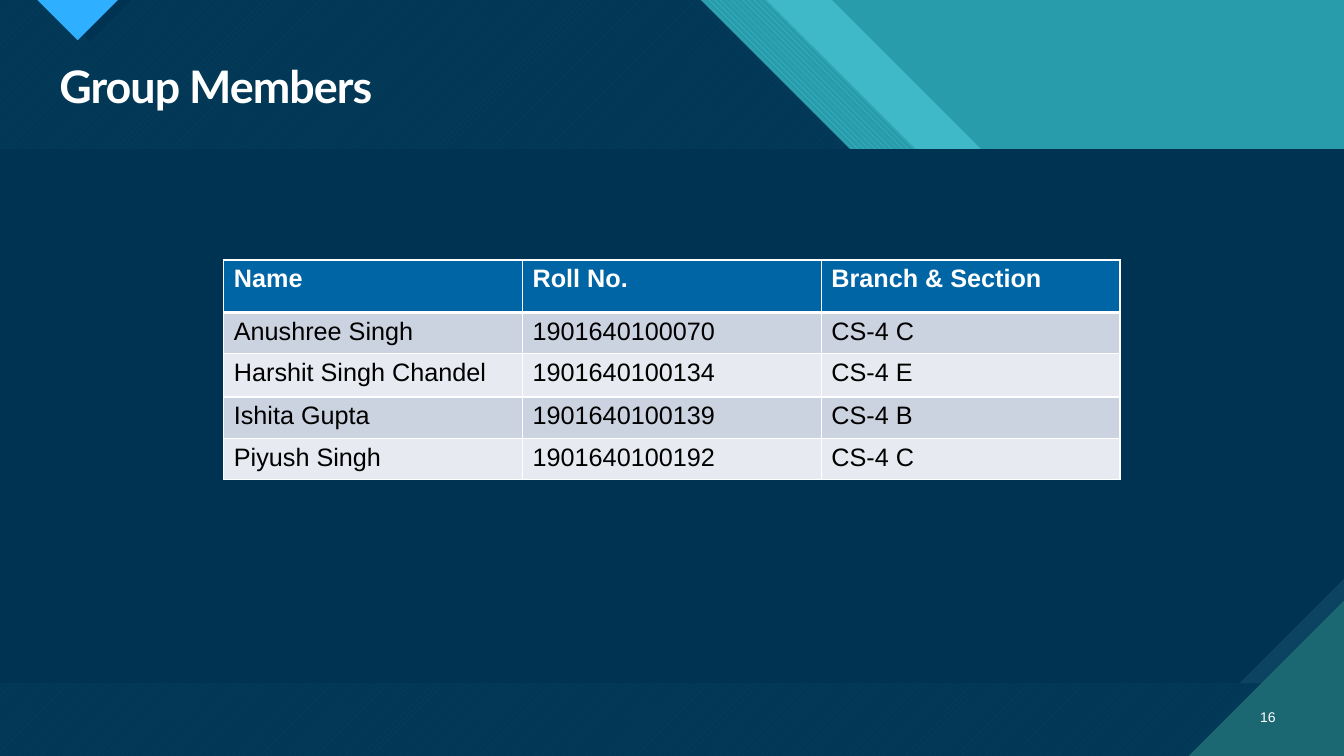
from dataclasses import dataclass

from pptx import Presentation
from pptx.dml.color import RGBColor
from pptx.enum.dml import MSO_PATTERN
from pptx.enum.text import MSO_ANCHOR, PP_ALIGN
from pptx.oxml.ns import qn
from pptx.util import Inches, Pt
from lxml.etree import SubElement


@dataclass(frozen=True)
class Theme:
    """Colours, fonts and type sizes of the slide."""
    teal: str = "299CAB"
    aqua: str = "47C3D3"
    deep_teal: str = "1B6872"
    navy: str = "003352"
    slate: str = "0C4360"
    accent: str = "2FAFFF"
    header: str = "0065A4"
    bands: tuple = ("CCD3E0", "E7EAF0")
    white: str = "FFFFFF"
    black: str = "000000"
    title_font: str = "Lato"
    body_font: str = "Arial"
    title_size: int = 32
    table_size: int = 18
    number_size: int = 10


THEME = Theme()
WIDTH, HEIGHT = 13.33, 7.5
PANEL_TOP, PANEL_BOTTOM = 1.48, 6.78
MEMBERS = [
    ("Name", "Roll No.", "Branch & Section"),
    ("Anushree Singh", "1901640100070", "CS-4 C"),
    ("Harshit Singh Chandel", "1901640100134", "CS-4 E"),
    ("Ishita Gupta", "1901640100139", "CS-4 B"),
    ("Piyush Singh", "1901640100192", "CS-4 C"),
]
ROW_HEIGHTS = (0.52, 0.41, 0.43, 0.41, 0.41)


def rgb(color):
    """Turn a hex string into a colour."""
    return RGBColor.from_string(color)


def add_polygon(slide, points, color, opacity=100, pattern=None, back=None):
    """Draw a closed outline with a solid or patterned fill."""
    corners = [(Inches(x), Inches(y)) for x, y in points]
    builder = slide.shapes.build_freeform(*corners[0], scale=1.0)
    builder.add_line_segments(corners[1:], close=True)
    polygon = builder.convert_to_shape()
    polygon.shadow.inherit = False
    polygon.line.fill.background()
    if pattern is None:
        polygon.fill.solid()
    else:
        polygon.fill.patterned()
        polygon.fill.pattern = pattern
        polygon.fill.back_color.rgb = rgb(back)
    polygon.fill.fore_color.rgb = rgb(color)
    if opacity < 100:
        tint = polygon._element.spPr.find(qn("a:solidFill")).find(qn("a:srgbClr"))
        SubElement(tint, qn("a:alpha"), val=str(opacity * 1000))


def add_diagonal_layer(slide, edge, color, **fill):
    """Cover the slide left of a 45 degree edge that starts at the top."""
    points = [(0, 0), (edge, 0), (WIDTH, WIDTH - edge), (WIDTH, HEIGHT), (0, HEIGHT)]
    add_polygon(slide, points, color, **fill)


def add_panel(slide, snip, color):
    """Draw the middle panel with its lower right corner cut off."""
    points = [(0, PANEL_TOP), (WIDTH, PANEL_TOP), (WIDTH, PANEL_BOTTOM - snip),
              (WIDTH - snip, PANEL_BOTTOM), (0, PANEL_BOTTOM)]
    add_polygon(slide, points, color)


def add_pointer(slide, left, depth, color):
    """Draw a triangle that hangs from the top edge."""
    add_polygon(slide, [(left, 0), (left + depth, depth), (left + 2 * depth, 0)], color)


def add_backdrop(slide):
    """Build the layered background."""
    slide.background.fill.solid()
    slide.background.fill.fore_color.rgb = rgb(THEME.teal)
    add_diagonal_layer(slide, 8.25, THEME.aqua, opacity=74)
    add_diagonal_layer(slide, 7.6, THEME.aqua,
                       pattern=MSO_PATTERN.WIDE_DOWNWARD_DIAGONAL, back=THEME.teal)
    add_diagonal_layer(slide, 6.95, THEME.aqua,
                       pattern=MSO_PATTERN.WIDE_UPWARD_DIAGONAL, back=THEME.deep_teal)
    add_diagonal_layer(slide, 6.95, THEME.navy, opacity=90)
    add_pointer(slide, 0.48, 0.41, THEME.navy)
    add_pointer(slide, 0.37, 0.4, THEME.accent)
    add_panel(slide, 0, THEME.slate)
    add_panel(slide, 1.04, THEME.navy)
    corner = 1.54
    add_polygon(slide, [(WIDTH - corner, HEIGHT), (WIDTH, HEIGHT), (WIDTH, HEIGHT - corner)],
                THEME.deep_teal)


def set_font(paragraph, name, size, color, bold=False):
    """Set the font of a whole paragraph."""
    font = paragraph.font
    font.name, font.size, font.bold = name, Pt(size), bold
    font.color.rgb = rgb(color)


def add_label(slide, box, text, anchor):
    """Add a wrapping text box and return its paragraph."""
    frame = slide.shapes.add_textbox(*map(Inches, box)).text_frame
    frame.word_wrap = True
    frame.vertical_anchor = anchor
    paragraph = frame.paragraphs[0]
    paragraph.text = text
    return paragraph


def add_title(slide):
    """Add the slide title."""
    title = add_label(slide, (0.49, 0.59, 12.26, 0.59), "Group Members", MSO_ANCHOR.TOP)
    title.line_spacing = 0.9
    set_font(title, THEME.title_font, THEME.title_size, THEME.white, bold=True)
    title.runs[0]._r.get_or_add_rPr().set("spc", "-70")


def add_page_number(slide):
    """Add the slide number."""
    number = add_label(slide, (12.31, 6.91, 0.44, 0.4), "16", MSO_ANCHOR.MIDDLE)
    number.alignment = PP_ALIGN.RIGHT
    set_font(number, THEME.body_font, THEME.number_size, THEME.white)


def set_borders(cell, top, bottom):
    """Give a cell white borders with the stated top and bottom widths."""
    properties = cell._tc.get_or_add_tcPr()
    for side, width in (("L", 1), ("R", 1), ("T", top), ("B", bottom)):
        line = SubElement(properties, qn(f"a:ln{side}"), w=str(Pt(width)))
        SubElement(SubElement(line, qn("a:solidFill")), qn("a:srgbClr"), val=THEME.white)


def add_members_table(slide):
    """Add the table of group members."""
    box = (2.22, 2.58, 8.89, sum(ROW_HEIGHTS))
    table = slide.shapes.add_table(len(MEMBERS), len(MEMBERS[0]), *map(Inches, box)).table
    for row, (member, height) in enumerate(zip(MEMBERS, ROW_HEIGHTS)):
        table.rows[row].height = Inches(height)
        is_header = row == 0
        for column, text in enumerate(member):
            cell = table.cell(row, column)
            cell.text = text
            set_borders(cell, top=3 if row == 1 else 1, bottom=3 if is_header else 1)
            cell.fill.solid()
            cell.fill.fore_color.rgb = rgb(THEME.header if is_header else THEME.bands[(row - 1) % 2])
            set_font(cell.text_frame.paragraphs[0], THEME.body_font, THEME.table_size,
                     THEME.white if is_header else THEME.black, bold=is_header)


def main():
    """Build and save the slide."""
    presentation = Presentation()
    presentation.slide_width, presentation.slide_height = Inches(WIDTH), Inches(HEIGHT)
    slide = presentation.slides.add_slide(presentation.slide_layouts[6])
    add_backdrop(slide)
    add_title(slide)
    add_page_number(slide)
    add_members_table(slide)
    presentation.save("out.pptx")


if __name__ == "__main__":
    main()
